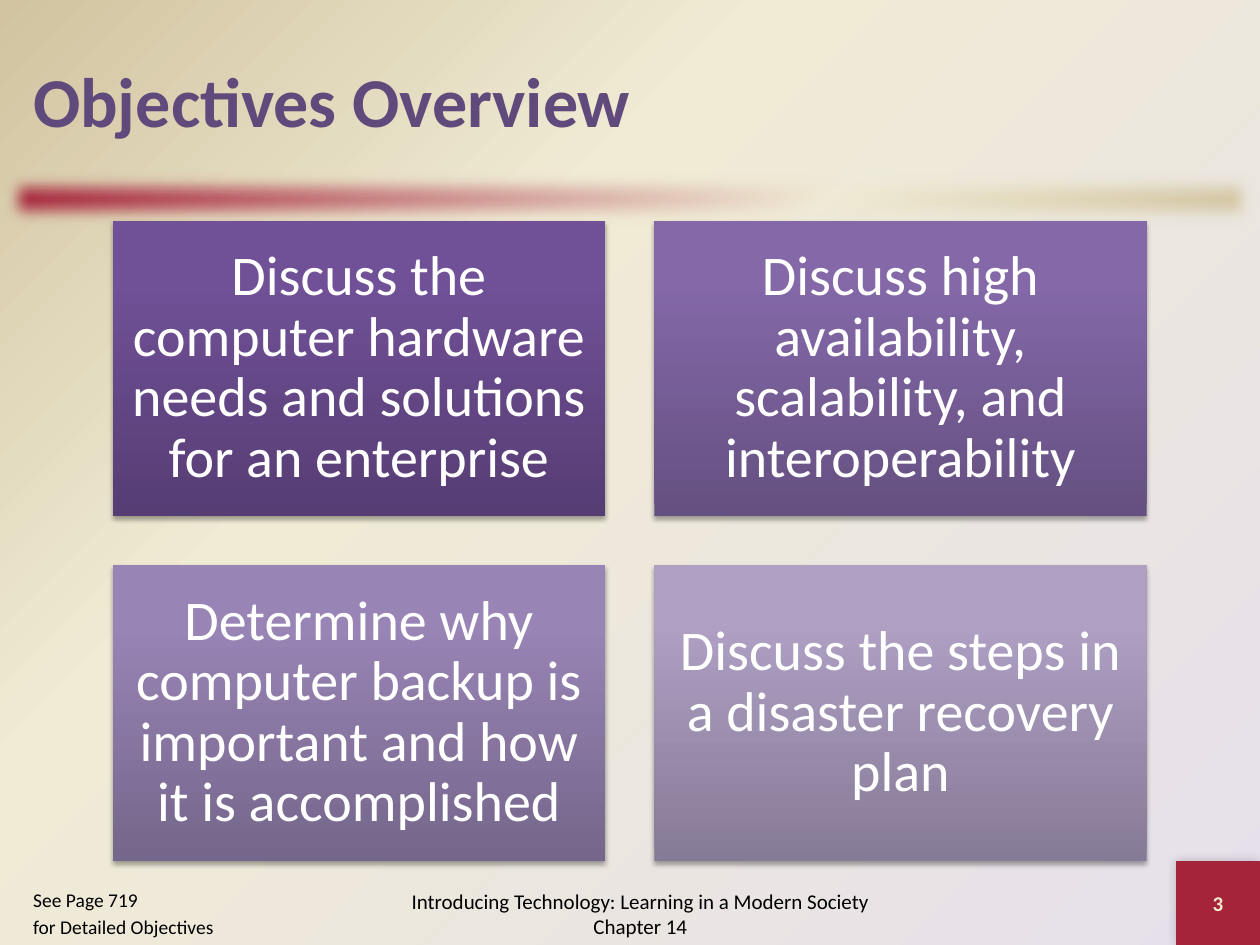
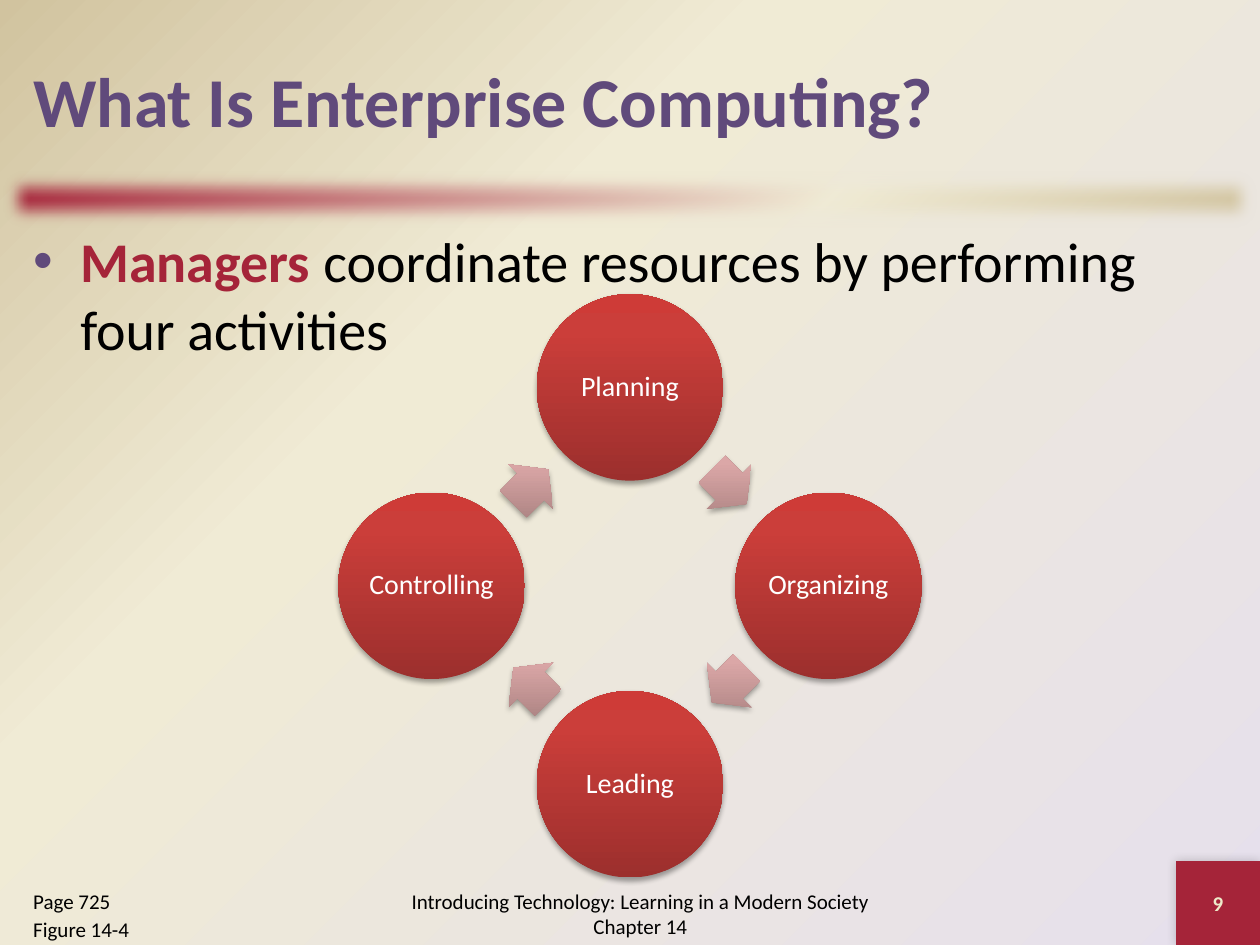
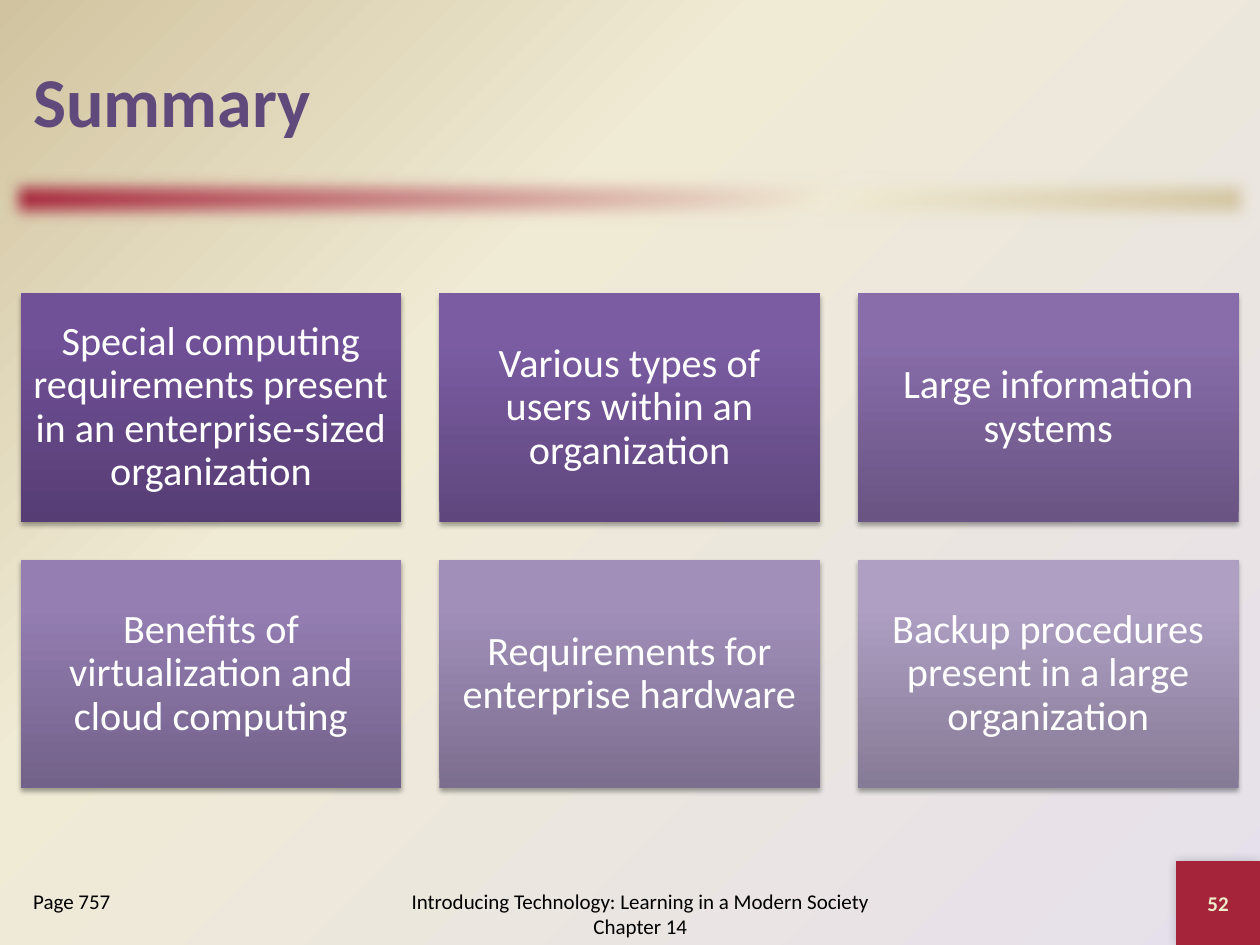
from math import cos, radians, sin

from lxml import etree
from pptx import Presentation
from pptx.dml.color import RGBColor
from pptx.enum.shapes import MSO_SHAPE as Preset
from pptx.enum.text import MSO_ANCHOR as Anchor, PP_ALIGN as Align
from pptx.oxml.ns import qn
from pptx.util import Cm, Pt

FONT = "Calibri"
PURPLE, RED, CREAM, WHITE, BLACK = "604A7B", "A52439", "EEEBCA", "FFFFFF", "000000"

# Gradients: (position in percent, colour)
BACKGROUND = [(0, "E6E0EC"), (65, "F0EBD5"), (100, "D1C39F")]
BAND = [(0, RED)] + BACKGROUND[1:]
CIRCLE = [(0, "9C2F2D"), (80, "CB3E3A"), (100, "CE3B37")]
ARROW = [(0, "A98180"), (80, "DBA7A7"), (100, "DDA7A6")]

# Boxes: left, top, width, height in centimetres
SLIDE_SIZE = (25.4, 19.05)
BAND_BOX = (0, 3.38, 25.4, 1.27)
TITLE_BOX = (0.42, 0.42, 24.55, 3.18)
BODY_BOX = (0.42, 4.45, 24.55, 12.9)
REFERENCE_BOX = (0.42, 17.78, 4.66, 1.27)
FOOTER_BOX = (7.62, 17.78, 10.58, 1.27)
NUMBER_BOX = (23.71, 17.36, 1.69, 1.69)
CYCLE_BOX = (6.82, 5.93, 11.76, 11.76)

FOOTER = "Introducing Technology: Learning in a Modern Society Chapter 14"


def color(hex_string):
    return RGBColor.from_string(hex_string)


def add_child(parent, tag, **attributes):
    return etree.SubElement(parent, qn(tag), {k: str(v) for k, v in attributes.items()})


def set_gradient(owner, fill, stops, angle=None):
    """Linear gradient at a clockwise angle, or one from the lower right corner."""
    fill.gradient()
    gradient = owner.element.find(".//" + qn("a:gradFill"))
    for child in list(gradient):
        gradient.remove(child)
    gradient.set("rotWithShape", "0")
    stop_list = add_child(gradient, "a:gsLst")
    for position, value in stops:
        stop = add_child(stop_list, "a:gs", pos=position * 1000)
        add_child(stop, "a:srgbClr", val=value)
    if angle is None:
        corner = add_child(gradient, "a:path", path="circle")
        add_child(corner, "a:fillToRect", l=100000, t=100000)
    else:
        add_child(gradient, "a:lin", ang=angle * 60000, scaled=0)


def add_effect(shape, tag, **attributes):
    effects = shape.element.spPr.find(qn("a:effectLst"))
    return add_child(effects, tag, **attributes)


def add_shadow(shape, opacity, blur, distance, angle):
    shadow = add_effect(shape, "a:outerShdw", blurRad=Pt(blur), dist=Pt(distance),
                        dir=angle * 60000, rotWithShape=0)
    value = add_child(shadow, "a:srgbClr", val=BLACK)
    add_child(value, "a:alpha", val=opacity * 1000)


def add_preset(slide, preset, box):
    shape = slide.shapes.add_shape(preset, *map(Cm, box))
    shape.shadow.inherit = False
    shape.line.fill.background()
    return shape


def add_diagram_shape(slide, preset, box, stops):
    shape = add_preset(slide, preset, box)
    set_gradient(shape, shape.fill, stops, 270)
    add_shadow(shape, 35, 3.1, 1.8, 90)
    return shape


def style_font(font, size, value, bold=False):
    font.name, font.size, font.bold = FONT, Pt(size), bold
    font.color.rgb = color(value)


def write(shape, lines, size, value, bold=False, align=Align.LEFT,
          anchor=Anchor.MIDDLE, inset=None, line_spacing=None):
    frame = shape.text_frame
    frame.word_wrap = True
    frame.vertical_anchor = anchor
    if inset is not None:
        frame.margin_left = frame.margin_right = Cm(inset)
        frame.margin_top = frame.margin_bottom = Cm(inset)
    for index, line in enumerate(lines):
        paragraph = frame.add_paragraph() if index else frame.paragraphs[0]
        paragraph.text = line
        paragraph.alignment = align
        if line_spacing:
            paragraph.line_spacing = line_spacing
        if index:
            paragraph.space_before = Pt(2)
        style_font(paragraph.font, size, value, bold)


def add_text(slide, box, lines, size, value, **options):
    write(slide.shapes.add_textbox(*map(Cm, box)), lines, size, value, **options)


def add_frame(presentation, title, number, reference, reference_size=12):
    """Slide with the band, title, footers and page number."""
    slide = presentation.slides.add_slide(presentation.slide_layouts[6])
    band = add_preset(slide, Preset.RECTANGLE, BAND_BOX)
    set_gradient(band, band.fill, BAND, 45)
    add_effect(band, "a:softEdge", rad=Pt(10))

    block = add_preset(slide, Preset.RECTANGLE, NUMBER_BOX)
    block.fill.solid()
    block.fill.fore_color.rgb = color(RED)
    add_shadow(block, 20, 6, 0, 225)
    write(block, [str(number)], 12, CREAM, bold=True, align=Align.CENTER)

    add_text(slide, TITLE_BOX, [title], 40, PURPLE, bold=True)
    add_text(slide, FOOTER_BOX, [FOOTER], 12, BLACK, align=Align.CENTER)
    add_text(slide, REFERENCE_BOX, reference, reference_size, BLACK, anchor=Anchor.TOP)
    return slide


def add_tiles(slide, box, columns, tiles, size, inset):
    """Largest grid of 5:3 tiles that fits the box, with gaps of a tenth of a tile."""
    left, top, width, height = box
    rows = len(tiles) // columns
    across = columns + 0.1 * (columns - 1)
    down = 0.6 * rows + 0.1 * (rows - 1)
    tile = min(width / across, height / down)
    left += (width - tile * across) / 2
    top += (height - tile * down) / 2
    for index, (text, *shades) in enumerate(tiles):
        row, column = divmod(index, columns)
        tile_box = (left + column * tile * 1.1, top + row * tile * 0.7, tile, tile * 0.6)
        shape = add_diagram_shape(slide, Preset.RECTANGLE, tile_box,
                                  list(zip((0, 80, 100), shades)))
        write(shape, [text], size, WHITE, align=Align.CENTER, inset=inset, line_spacing=0.9)


def add_bullet(slide, box, term, rest):
    frame = slide.shapes.add_textbox(*map(Cm, box)).text_frame
    frame.word_wrap = True
    paragraph = frame.paragraphs[0]
    properties = paragraph._p.get_or_add_pPr()
    properties.set("marL", str(Cm(0.95)))
    properties.set("indent", str(-Cm(0.95)))
    add_child(add_child(properties, "a:buClr"), "a:srgbClr", val=PURPLE)
    add_child(properties, "a:buFont", typeface="Arial")
    add_child(properties, "a:buChar", char="•")
    for text, value, bold in ((term, RED, True), (rest, BLACK, False)):
        run = paragraph.add_run()
        run.text = text
        style_font(run.font, 32, value, bold)


def add_cycle(slide, box, steps):
    """Circles clockwise from the top, each followed by an arrow."""
    left, top, width, height = box
    diameter, arrow_width, arrow_height = 3.76, 0.99, 1.27
    radius = (width - diameter) / 2
    turn = 360 / len(steps)

    def place(angle, distance, part_width, part_height):
        x = left + width / 2 + distance * sin(radians(angle))
        y = top + height / 2 - distance * cos(radians(angle))
        return x - part_width / 2, y - part_height / 2, part_width, part_height

    for index, step in enumerate(steps):
        angle = index * turn
        circle = add_diagram_shape(slide, Preset.OVAL,
                                   place(angle, radius, diameter, diameter), CIRCLE)
        write(circle, [step], 16, WHITE, align=Align.CENTER, inset=0, line_spacing=0.9)

        middle = angle + turn / 2
        arrow_box = place(middle, radius * cos(radians(turn / 2)), arrow_width, arrow_height)
        arrow = add_diagram_shape(slide, Preset.RIGHT_ARROW, arrow_box, ARROW)
        arrow.adjustments[0], arrow.adjustments[1] = 0.6, 0.5
        arrow.rotation = middle


def main():
    presentation = Presentation()
    presentation.slide_width, presentation.slide_height = map(Cm, SLIDE_SIZE)
    master = presentation.slide_master
    set_gradient(master, master.background.fill, BACKGROUND)

    # Objectives
    slide = add_frame(presentation, "Objectives Overview", 3,
                      ["See Page 719", "for Detailed Objectives"], 11.1)
    add_tiles(slide, BODY_BOX, 2, [
        ("Discuss the computer hardware needs and solutions for an enterprise",
         "563D74", "705097", "704F99"),
        ("Discuss high availability, scalability, and interoperability",
         "655081", "8468A8", "8467AA"),
        ("Determine why computer backup is important and how it is accomplished",
         "75668B", "9884B5", "9984B7"),
        ("Discuss the steps in a disaster recovery plan",
         "867B96", "AE9FC3", "AE9FC4"),
    ], 32, 0.34)

    # Management activities
    slide = add_frame(presentation, "What Is Enterprise Computing?", 9,
                      ["Page 725", "Figure 14-4"])
    add_bullet(slide, BODY_BOX, "Managers ",
               "coordinate resources by performing four activities")
    add_cycle(slide, CYCLE_BOX, ["Planning", "Organizing", "Leading", "Controlling"])

    # Summary
    slide = add_frame(presentation, "Summary", 52, ["Page 757"])
    add_tiles(slide, BODY_BOX, 3, [
        ("Special computing requirements present in an enterprise-sized organization",
         "563D74", "705097", "704F99"),
        ("Various types of users within an organization",
         "5F477D", "7B5CA3", "7C5BA5"),
        ("Large information systems", "695483", "886DAA", "886DAC"),
        ("Benefits of virtualization and cloud computing",
         "726189", "947EB2", "957EB4"),
        ("Requirements for enterprise hardware", "7C6E8F", "A18FBA", "A18FBC"),
        ("Backup procedures present in a large organization",
         "867B96", "AE9FC3", "AE9FC4"),
    ], 23, 0.24)

    presentation.save("out.pptx")


if __name__ == "__main__":
    main()
